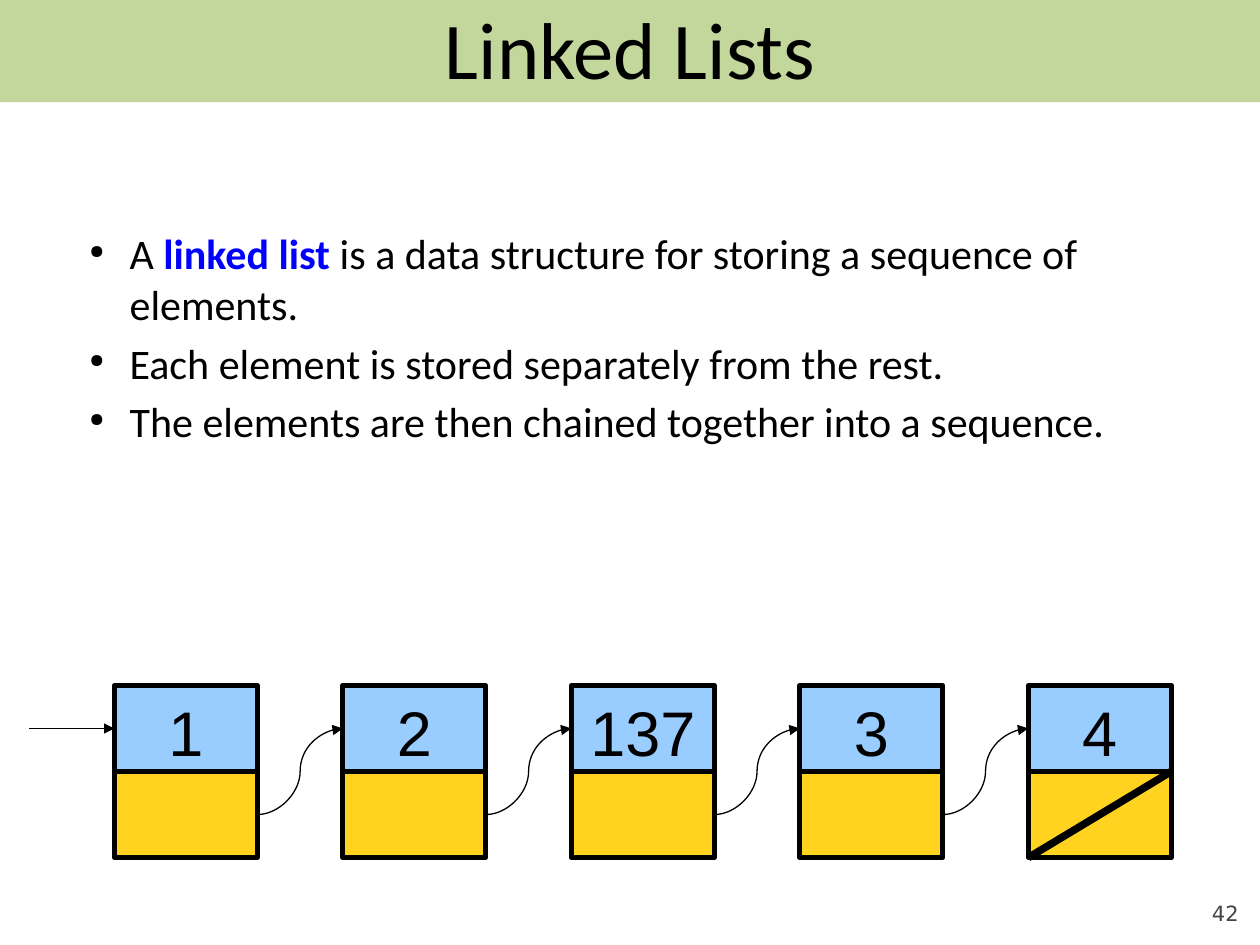
from lxml import etree
from pptx import Presentation
from pptx.dml.color import RGBColor
from pptx.enum.shapes import MSO_CONNECTOR, MSO_SHAPE
from pptx.enum.text import MSO_ANCHOR, PP_ALIGN
from pptx.oxml.ns import qn
from pptx.util import Pt

RECT, ROUNDED = MSO_SHAPE.RECTANGLE, MSO_SHAPE.ROUNDED_RECTANGLE
CURVE, STRAIGHT = MSO_CONNECTOR.CURVE, MSO_CONNECTOR.STRAIGHT
MIDDLE, BOTTOM, TOP = MSO_ANCHOR.MIDDLE, MSO_ANCHOR.BOTTOM, MSO_ANCHOR.TOP
LEFT, CENTER, RIGHT = PP_ALIGN.LEFT, PP_ALIGN.CENTER, PP_ALIGN.RIGHT
LEFT_SIDE, RIGHT_SIDE = 1, 3

BLACK, BLUE, GREEN = "000000", "0000FF", "C3D69B"
VALUE_FILL, POINTER_FILL, GREY = "99CCFF", "FFD320", "424242"

VALUES = ["1", "2", "137", "3", "4"]
NODE_LEFT, NODE_TOP, NODE_PITCH = 65.4, 391.7, 130.55
CELL_W, CELL_H = 81.7, 49.2

BULLETS = [
    [("A ", False), ("linked list", True),
     (" is a data structure for storing a sequence of elements.", False)],
    [("Each element is stored separately from the rest.", False)],
    [("The elements are then chained together into a sequence.", False)],
]


def rgb(color):
    return RGBColor.from_string(color)


def points(*lengths):
    return [Pt(length) for length in lengths]


def set_frame(tf, anchor, margins, wrap=True):
    sides = ("margin_left", "margin_top", "margin_right", "margin_bottom")
    values = dict(zip(sides, points(*margins)))
    values.update(vertical_anchor=anchor, word_wrap=wrap)
    for name, value in values.items():
        setattr(tf, name, value)


def add_run(p, text, size, font, color=BLACK, bold=False):
    r = p.add_run()
    r.text = text
    for name, value in {"size": Pt(size), "name": font, "bold": bold}.items():
        setattr(r.font, name, value)
    r.font.color.rgb = rgb(color)


def add_box(s, shape_type, box, fill, line_width=0):
    sp = s.shapes.add_shape(shape_type, *points(*box))
    sp.shadow.inherit = False
    sp.fill.solid()
    sp.fill.fore_color.rgb = rgb(fill)
    if line_width:
        sp.line.color.rgb = rgb(BLACK)
        sp.line.width = Pt(line_width)
    else:
        sp.line.fill.background()
    return sp


def add_line(s, kind, ends, width, arrow=False):
    line = s.shapes.add_connector(kind, *points(*ends))
    line.line.color.rgb = rgb(BLACK)
    line.line.width = Pt(width)
    if arrow:
        etree.SubElement(line.line._get_or_add_ln(), qn("a:tailEnd"), type="triangle")
    etree.SubElement(line.element.spPr, qn("a:effectLst"))
    return line


def add_title(s, text):
    """Fill the title and bring it in front of the band."""
    title = s.shapes.title
    title.left, title.top, title.width, title.height = points(36, 0, 648, 54)
    set_frame(title.text_frame, MIDDLE, (7.2, 3.6, 7.2, 3.6))
    p = title.text_frame.paragraphs[0]
    p.alignment = CENTER
    add_run(p, text, 46, "Calibri")
    title.element.getparent().append(title.element)


def add_bullet(p):
    pPr = p._p.get_or_add_pPr()
    pPr.set("marL", str(Pt(31)))
    pPr.set("indent", str(Pt(-23)))
    etree.SubElement(pPr, qn("a:buSzPct"), val="45000")
    etree.SubElement(pPr, qn("a:buChar"), char="●")


def add_bullets(s):
    tf = s.shapes.add_textbox(*points(36, 126.7, 648, 356.4)).text_frame
    set_frame(tf, TOP, (7.2, 3.6, 7.2, 3.6))
    for i, runs in enumerate(BULLETS):
        p = tf.add_paragraph() if i else tf.paragraphs[0]
        p.alignment = LEFT
        if i:
            p.space_before = Pt(4.8)
        add_bullet(p)
        for text, key in runs:
            add_run(p, text, 24, "Calibri", BLUE if key else BLACK, key)


def add_node(s, left, value):
    """Draw a value cell above a pointer cell and return both."""
    top = add_box(s, RECT, (left, NODE_TOP, CELL_W, CELL_H), VALUE_FILL, 2.89)
    set_frame(top.text_frame, MIDDLE, (7.9, 7.2, 7.9, 4.3), wrap=False)
    p = top.text_frame.paragraphs[0]
    p.alignment = CENTER
    add_run(p, value, 36, "Arial")
    bottom = add_box(s, RECT, (left, NODE_TOP + CELL_H, CELL_W, CELL_H),
                     POINTER_FILL, 2.89)
    return top, bottom


def add_linked_list(s):
    nodes = [add_node(s, NODE_LEFT + i * NODE_PITCH, value)
             for i, value in enumerate(VALUES)]
    value_y = NODE_TOP + CELL_H / 2

    head = add_line(s, STRAIGHT, (16.6, value_y, NODE_LEFT, value_y), 0.75, True)
    head.end_connect(nodes[0][0], LEFT_SIDE)

    for i, ((_, pointer), (value, _)) in enumerate(zip(nodes, nodes[1:])):
        left = NODE_LEFT + i * NODE_PITCH
        ends = (left + CELL_W, value_y + CELL_H, left + NODE_PITCH, value_y)
        link = add_line(s, CURVE, ends, 0.75, True)
        link.begin_connect(pointer, RIGHT_SIDE)
        link.end_connect(value, LEFT_SIDE)

    last = NODE_LEFT + (len(VALUES) - 1) * NODE_PITCH
    add_line(s, STRAIGHT, (last, NODE_TOP + 2 * CELL_H,
                           last + CELL_W, NODE_TOP + CELL_H), 4.31)


def add_page_number(s, number):
    tf = s.shapes.add_textbox(*points(648, 500.4, 59.8, 28.8)).text_frame
    set_frame(tf, BOTTOM, (0, 0, 0, 0))
    p = tf.paragraphs[0]
    p.alignment = RIGHT
    add_run(p, number, 12, "DejaVu Sans", GREY)


def main():
    prs = Presentation()
    prs.slide_width, prs.slide_height = points(720, 540)
    s = prs.slides.add_slide(prs.slide_layouts[5])
    add_page_number(s, "42")
    band = add_box(s, ROUNDED, (0, 0, 720, 58.3), GREEN)
    band.adjustments[0] = 0
    add_bullets(s)
    add_linked_list(s)
    add_title(s, "Linked Lists")
    prs.save("out.pptx")


if __name__ == "__main__":
    main()
